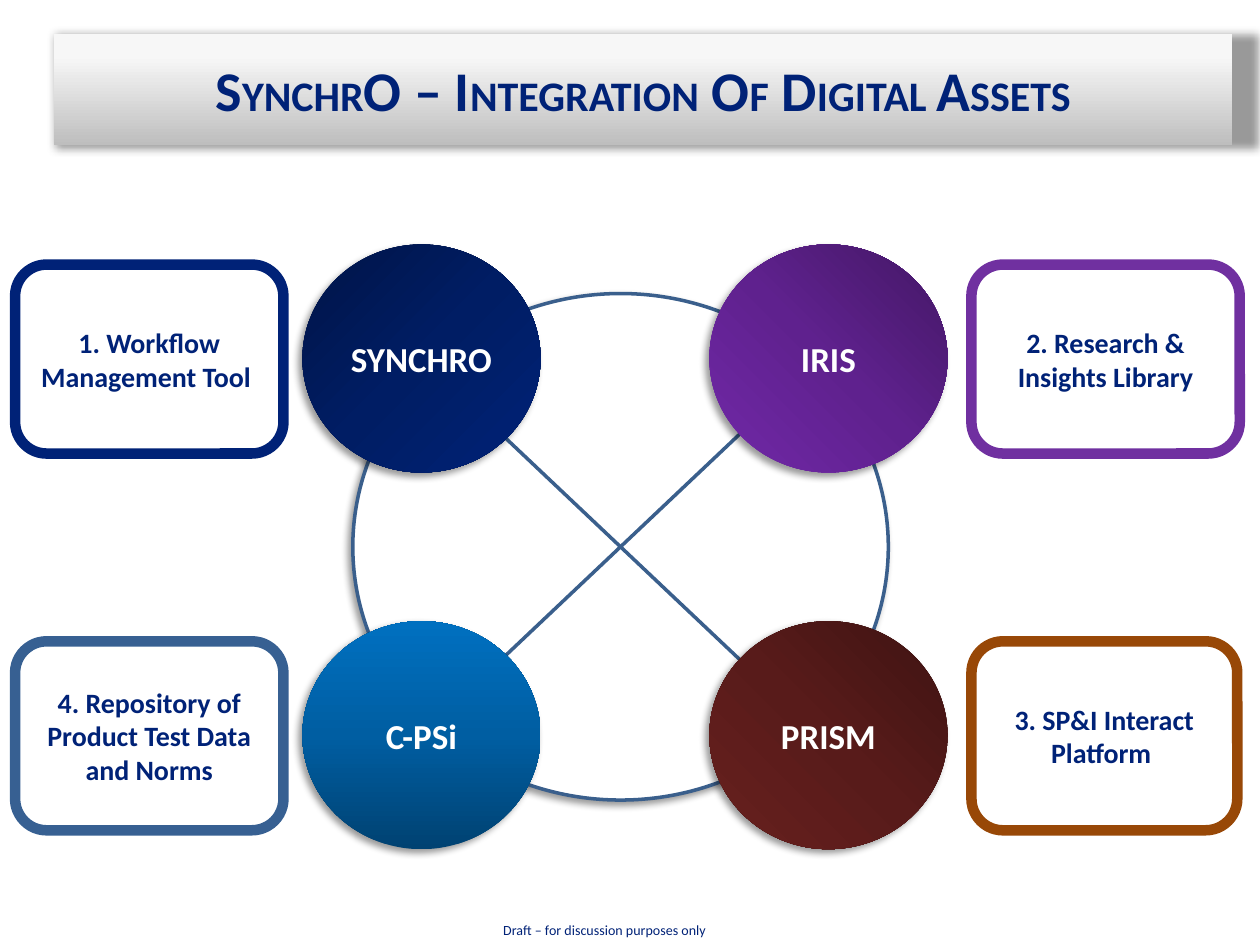
from dataclasses import dataclass
from lxml import etree
from pptx import Presentation
from pptx.dml.color import RGBColor
from pptx.enum import shapes as s, text as t
from pptx.oxml import parse_xml
from pptx.util import Inches, Pt

NS = 'xmlns:a="http://schemas.openxmlformats.org/drawingml/2006/main"'
NAVY, WHITE, STEEL = "002277", "FFFFFF", "3A5F8C"
TOP_RIGHT = ('<a:path path="circle">'
             '<a:fillToRect l="100000" t="0" r="0" b="100000"/></a:path>')
DROP = 'blurRad="50800" dist="38100" dir="8100000" algn="tr"'
GLOW = 'blurRad="63500" sx="102000" sy="102000" algn="ctr"'


@dataclass
class Disc:
    label: str
    left: float
    top: float
    stops: list
    shade: str


@dataclass
class Card:
    label: str
    left: float
    top: float
    width: float
    edge: str


def hue(code: str) -> RGBColor:
    return RGBColor.from_string(code)


def slant(angle: int) -> str:
    return f'<a:lin ang="{angle * 60000}" scaled="0"/>'


def blend(shape, stops: list, shade: str) -> None:
    """Give the shape a gradient of (position, colour) stops."""
    shape.fill.gradient()
    old = shape.element.spPr.find("{*}gradFill")
    marks = "".join(f'<a:gs pos="{pos * 1000}"><a:srgbClr val="{code}"/></a:gs>'
                    for pos, code in stops)
    new = parse_xml(f'<a:gradFill {NS} rotWithShape="1"><a:gsLst>{marks}'
                    f'</a:gsLst>{shade}</a:gradFill>')
    old.getparent().replace(old, new)


def cast(shape, form: str) -> None:
    """Add an outer shadow."""
    shape.shadow.inherit = False
    shape.element.spPr.find("{*}effectLst").append(parse_xml(
        f'<a:outerShdw {NS} {form} rotWithShape="0"><a:srgbClr val="000000">'
        '<a:alpha val="40000"/></a:srgbClr></a:outerShdw>'))


def write(shape, runs: list, code: str, bold: bool = True) -> None:
    """Write (text, size) runs, centred in the shape."""
    frame = shape.text_frame
    frame.word_wrap = True
    frame.vertical_anchor = t.MSO_ANCHOR.MIDDLE
    para = frame.paragraphs[0]
    para.alignment = t.PP_ALIGN.CENTER
    for words, size in runs:
        run = para.add_run()
        run.text = words
        form = {"name": "Calibri", "size": Pt(size), "bold": bold}
        for key, value in form.items():
            setattr(run.font, key, value)
        run.font.color.rgb = hue(code)


def draw(slide, kind, left: float, top: float, width: float, height: float):
    shape = slide.shapes.add_shape(kind, Inches(left), Inches(top),
                                   Inches(width), Inches(height))
    shape.shadow.inherit = False
    shape.fill.solid()
    shape.fill.fore_color.rgb = hue(WHITE)
    shape.line.fill.background()
    return shape


def edge(shape, code: str, width: float) -> None:
    shape.line.color.rgb = hue(code)
    shape.line.width = Pt(width)


def add_disc(slide, disc: Disc) -> None:
    shape = draw(slide, s.MSO_SHAPE.OVAL, disc.left, disc.top, 1.89, 1.81)
    blend(shape, disc.stops, disc.shade)
    cast(shape, DROP)
    write(shape, [(disc.label, 20)], WHITE)


def add_card(slide, card: Card) -> None:
    shape = draw(slide, s.MSO_SHAPE.ROUNDED_RECTANGLE,
                 card.left, card.top, card.width, 1.5)
    edge(shape, card.edge, 6)
    write(shape, [(card.label, 16)], NAVY)


def add_title(slide) -> None:
    title = slide.shapes.title
    place = {"left": 0.43, "top": 0.27, "width": 9.35, "height": 0.88}
    for key, value in place.items():
        setattr(title, key, Inches(value))
    blend(title, [(0, "BEBEBE"), (80, "F7F7F7"), (100, "F8F8F8")], slant(270))
    cast(title, GLOW)
    parts = ["S", "YNCHR", "O – I", "NTEGRATION", " O", "F", " D",
             "IGITAL ", "A", "SSETS"]
    # Large capitals alternate with small ones
    write(title, [(part, 24 if i % 2 else 32) for i, part in enumerate(parts)],
          NAVY)
    for run in title.text_frame.paragraphs[0].runs:
        run.font._element.insert(0, parse_xml(
            f'<a:ln {NS} w="9000"><a:solidFill><a:srgbClr val="00144B"/>'
            '</a:solidFill></a:ln>'))


def main() -> None:
    deck = Presentation()
    deck.slide_width, deck.slide_height = Inches(10), Inches(7.5)
    slide = deck.slides.add_slide(deck.slide_layouts[5])
    add_title(slide)

    # Footer
    foot = slide.shapes.add_textbox(Inches(3.8), Inches(7.26),
                                    Inches(2), Inches(0.24))
    write(foot, [("Draft – for discussion purposes only", 8)], NAVY, False)

    # Ring and cross that join the four systems
    ring = draw(slide, s.MSO_SHAPE.FLOWCHART_SUMMING_JUNCTION,
                2.8, 2.33, 4.25, 4.02)
    edge(ring, STEEL, 2)
    cast(ring, DROP)

    # Systems
    west, east, north, south = 2.4, 5.63, 1.94, 4.93
    for disc in [
        Disc("IRIS", east, north,
             [(0, "431764"), (50, "5F218E"), (100, "7128A8")], TOP_RIGHT),
        Disc("C-PSi", west, south,
             [(0, "004272"), (50, "005EA2"), (100, "0070C0")], slant(270)),
        Disc("PRISM", east, south,
             [(0, "3E1312"), (50, "581B1A"), (100, "68201E")], slant(135)),
        Disc("SYNCHRO", west, north,
             [(0, "001447"), (50, "001D64"), (100, NAVY)], slant(45)),
    ]:
        add_disc(slide, disc)

    # What each system is for
    west, east, north, south = 0.12, 7.71, 2.1, 5.09
    for card in [
        Card("1. Workflow Management Tool ", west, north, 2.13, NAVY),
        Card("4. Repository of Product Test Data and Norms",
             west, south, 2.13, "376092"),
        Card("3. SP&I Interact Platform ", east, south, 2.11, "984807"),
        Card("2. Research & Insights Library", east, north, 2.13, "7030A0"),
    ]:
        add_card(slide, card)

    deck.save("out.pptx")


if __name__ == "__main__":
    main()
